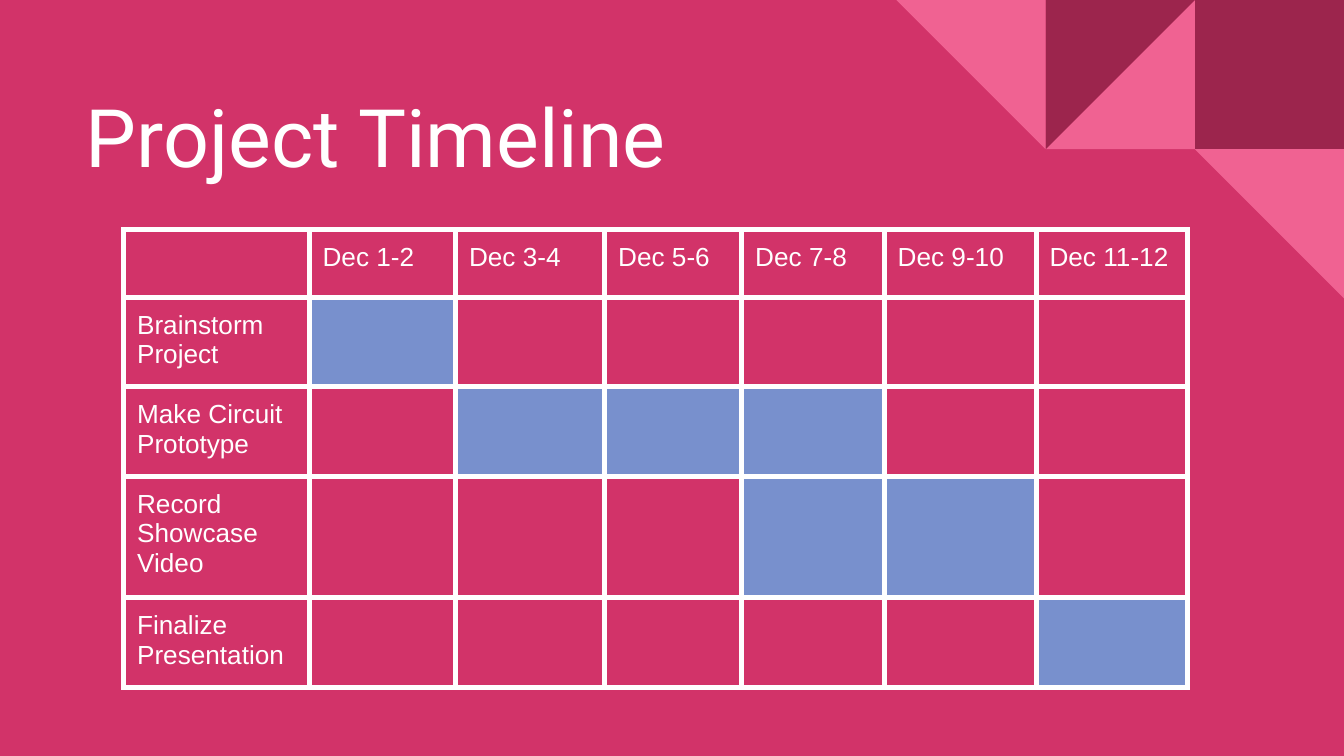
from typing import NamedTuple

from lxml.etree import SubElement
from pptx import Presentation
from pptx.dml.color import RGBColor
from pptx.enum.shapes import MSO_SHAPE
from pptx.enum.text import MSO_ANCHOR
from pptx.oxml.ns import qn
from pptx.util import Inches, Pt

BACKGROUND = RGBColor(0xD2, 0x33, 0x69)
DARK = RGBColor(0x9C, 0x25, 0x4D)
LIGHT = RGBColor(0xF0, 0x62, 0x92)
BAR = RGBColor(0x78, 0x90, 0xCD)
WHITE = RGBColor(0xFF, 0xFF, 0xFF)

SLIDE_WIDTH = 10
TILE = 1.11
TILES_LEFT = 6.67
MARGIN = Inches(0.1)
COLUMN_WIDTHS = [1.38, 1.09, 1.11, 1.02, 1.06, 1.13, 1.13]
DATES = ["Dec 1-2", "Dec 3-4", "Dec 5-6", "Dec 7-8", "Dec 9-10", "Dec 11-12"]
HEADER_HEIGHT = 0.36
TASK_HEIGHT = 0.56
TABLE_HEIGHT = 3.28


class Tile(NamedTuple):
    column: int
    row: int
    shape: MSO_SHAPE
    rotation: int
    color: RGBColor


class Task(NamedTuple):
    label: str
    first: int
    last: int


TILES = [
    Tile(2, 0, MSO_SHAPE.RECTANGLE, 0, DARK),
    Tile(1, 0, MSO_SHAPE.RIGHT_TRIANGLE, 270, LIGHT),
    Tile(1, 0, MSO_SHAPE.RIGHT_TRIANGLE, 90, DARK),
    Tile(0, 0, MSO_SHAPE.RIGHT_TRIANGLE, 180, LIGHT),
    Tile(2, 1, MSO_SHAPE.RIGHT_TRIANGLE, 180, LIGHT),
]

TASKS = [
    Task("Brainstorm Project", 1, 1),
    Task("Make Circuit\nPrototype", 2, 4),
    Task("Record Showcase Video", 4, 5),
    Task("Finalize\nPresentation", 6, 6),
]


def draw_tile(slide, tile: Tile) -> None:
    s = slide.shapes.add_shape(
        tile.shape,
        Inches(TILES_LEFT + tile.column * TILE),
        Inches(tile.row * TILE),
        Inches(TILE),
        Inches(TILE),
    )
    s.rotation = tile.rotation
    s.shadow.inherit = False
    s.fill.solid()
    s.fill.fore_color.rgb = tile.color
    s.line.fill.background()


def format_text(tf, font: str, size: float) -> None:
    for p in tf.paragraphs:
        for r in p.runs:
            r.font.name = font
            r.font.size = Pt(size)
            r.font.color.rgb = WHITE


def draw_title(slide, text: str) -> None:
    s = slide.shapes.add_textbox(Inches(0.54), Inches(0.58), Inches(4.75), Inches(0.85))
    tf = s.text_frame
    tf.word_wrap = True
    tf.vertical_anchor = MSO_ANCHOR.MIDDLE
    tf.margin_left = tf.margin_right = tf.margin_top = tf.margin_bottom = MARGIN
    tf.text = text
    format_text(tf, "Roboto", 43.2)


def add_borders(cell) -> None:
    properties = cell._tc.get_or_add_tcPr()
    for side in ("a:lnL", "a:lnR", "a:lnT", "a:lnB"):
        line = SubElement(properties, qn(side), w=str(Pt(3)))
        fill = SubElement(line, qn("a:solidFill"))
        SubElement(fill, qn("a:srgbClr"), val=str(WHITE))


def draw_cell(cell, text: str, is_bar: bool) -> None:
    cell.margin_left = cell.margin_right = MARGIN
    cell.margin_top = cell.margin_bottom = MARGIN
    add_borders(cell)
    if is_bar:
        cell.fill.solid()
        cell.fill.fore_color.rgb = BAR
    else:
        cell.fill.background()
    if text:
        cell.text_frame.text = text
        format_text(cell.text_frame, "Arial", 14)


def draw_timeline(slide) -> None:
    heights = [HEADER_HEIGHT] + [TASK_HEIGHT] * len(TASKS)
    frame = slide.shapes.add_table(
        len(heights),
        len(COLUMN_WIDTHS),
        Inches(0.92),
        Inches(1.71),
        Inches(sum(COLUMN_WIDTHS)),
        Inches(TABLE_HEIGHT),
    )
    table = frame.table
    table.first_row = False
    table.horz_banding = False
    for column, width in zip(table.columns, COLUMN_WIDTHS):
        column.width = Inches(width)
    for row, height in zip(table.rows, heights):
        row.height = Inches(height)
    frame.height = Inches(TABLE_HEIGHT)
    for j, heading in enumerate([""] + DATES):
        draw_cell(table.cell(0, j), heading, False)
    for i, task in enumerate(TASKS, start=1):
        for j in range(len(COLUMN_WIDTHS)):
            label = task.label if j == 0 else ""
            draw_cell(table.cell(i, j), label, task.first <= j <= task.last)


def main() -> None:
    prs = Presentation()
    prs.slide_width = Inches(SLIDE_WIDTH)
    prs.slide_height = Inches(SLIDE_WIDTH * 9 / 16)
    slide = prs.slides.add_slide(prs.slide_layouts[6])
    slide.background.fill.solid()
    slide.background.fill.fore_color.rgb = BACKGROUND
    for tile in TILES:
        draw_tile(slide, tile)
    draw_title(slide, "Project Timeline")
    draw_timeline(slide)
    prs.save("out.pptx")


if __name__ == "__main__":
    main()
